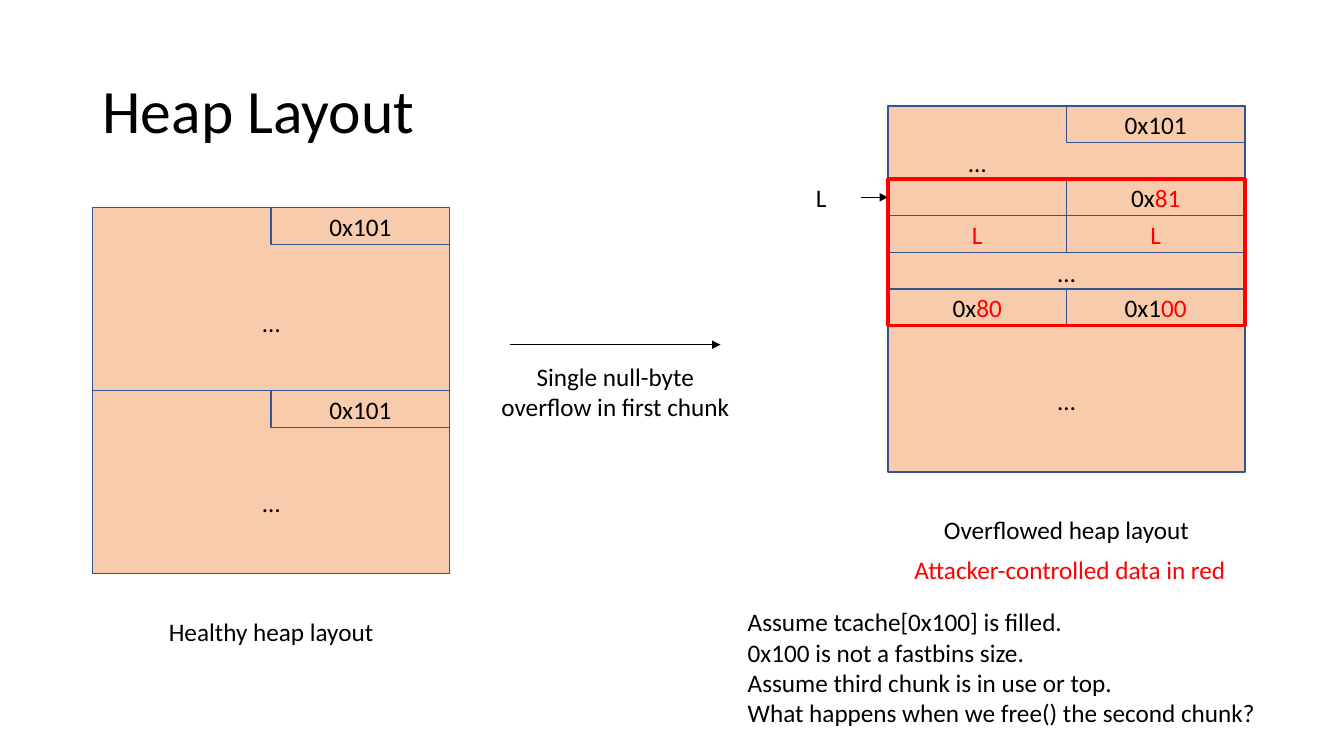
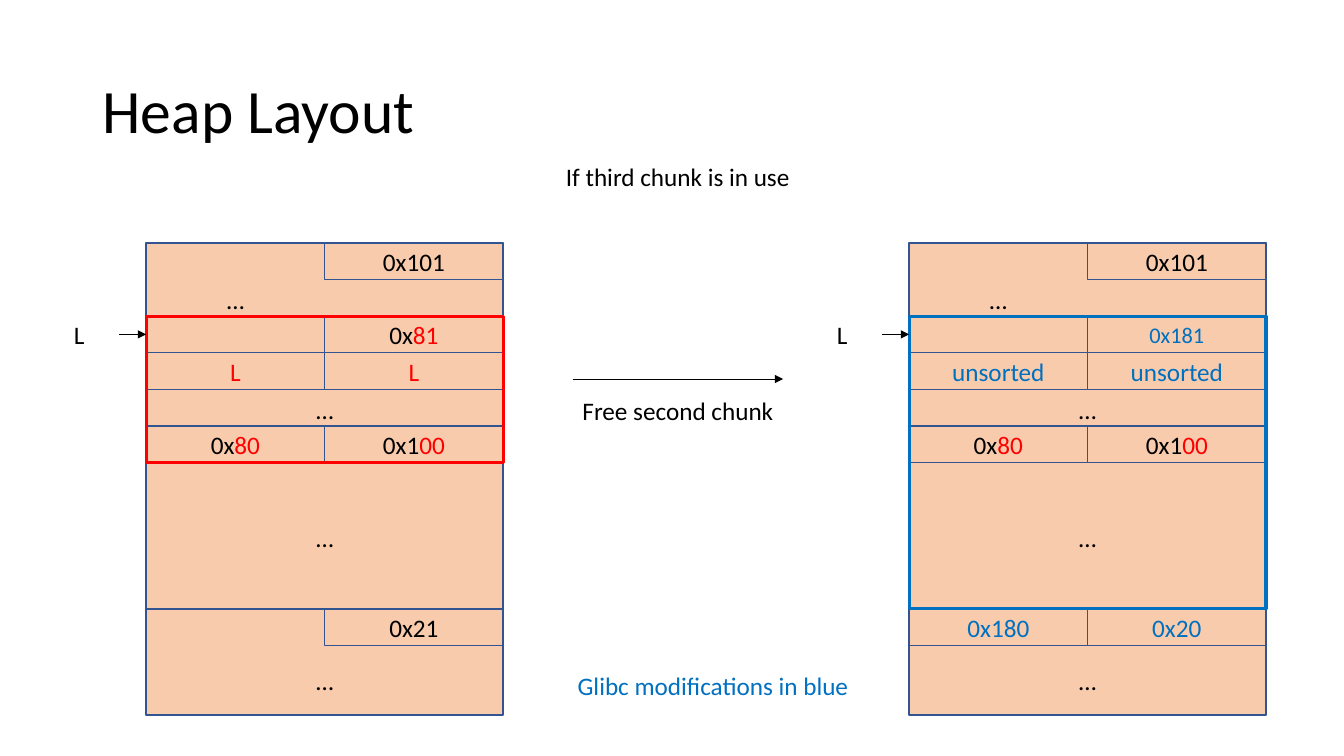
from lxml.etree import SubElement
from pptx import Presentation
from pptx.dml.color import RGBColor
from pptx.enum.shapes import MSO_CONNECTOR as Connector, MSO_SHAPE as Shape
from pptx.enum.text import MSO_ANCHOR as Anchor, PP_ALIGN as Align
from pptx.oxml.ns import qn
from pptx.util import Pt

COLORS = {"black": "000000", "red": "FF0000", "blue": "0070C0",
          "chunk": "F8CBAD", "border": "325491"}
FONT = "Calibri"
TITLE = "Heap Layout"
TITLE_BOX = (66.2, 28.8, 828, 104.4)
BODY_SIZE, TITLE_SIZE = 18, 44
ROW, HALF = 26.15, 127.5
LABEL_WIDTH, LABEL_HEIGHT = 57, 28.8
LEFT, RIGHT, MIDDLE = 0.5, 1.5, 1


def black(text):
    """Return a run of ordinary text."""
    return text, "black"


def red(text):
    """Return a run of attacker-controlled data."""
    return text, "red"


def blue(text, size=BODY_SIZE):
    """Return a run of data changed by the allocator."""
    return text, "blue", size


# A chunk is (rows, cells, dots): a cell is (column, row, runs) and
# dots are (centre in columns, top in rows).
def plain_chunk(dots_row):
    """Return a five-row chunk with an intact size field."""
    return 5, [(1, 0, [black("0x101")])], [(MIDDLE, dots_row)]


def first_chunk(size, link):
    """Return the first chunk, holding a fake chunk in its last rows."""
    cells = [(1, 0, [black("0x101")]), (1, 2, size),
             (1, 3, [link]), (0, 3, [link])]
    return 5, cells, [(MIDDLE, 4), (LEFT, 1)]


FORGED_FIRST = first_chunk([black("0x"), red("81")], red("L"))
FREED_FIRST = first_chunk([blue("0x181", 16)], blue("unsorted"))
FORGED_SECOND = (5, [(1, 0, [black("0x1"), red("00")]),
                     (0, 0, [black("0x"), red("80")])], [(MIDDLE, 2.5)])
THIRD_DOTS = [(MIDDLE, 1.4)]
THIRD_IN_USE = (2.9, [(1, 0, [black("0x21")])], THIRD_DOTS)
THIRD_AFTER_FREE = (2.9, [(1, 0, [blue("0x20")]),
                          (0, 0, [blue("0x180")])], THIRD_DOTS)

# heaps: left, top, chunks, (outline colour, outline rows) or None
# step: left, arrow height, label; notes: box, alignment, paragraphs of runs
SLIDES = [
    {"heaps": [
        (66.2, 148.3, [plain_chunk(2.6), plain_chunk(2.5)], None),
        (634.3, 75.6, [FORGED_FIRST, FORGED_SECOND], ("red", 4))],
     "step": (342.7, 246.2, "Single null-byte overflow in first chunk"),
     "notes": [
        ((48.2, 437, 291, 28.8), Align.CENTER, [[black("Healthy heap layout")]]),
        ((616.3, 363.6, 291, 28.8), Align.CENTER,
         [[black("Overflowed heap layout")]]),
        ((614.2, 392.4, 300, 28.8), Align.CENTER,
         [[red("Attacker-controlled data in red")]]),
        ((527, 429.8, 380.2, 94.3), Align.LEFT,
         [[black("Assume tcache[0x100] is filled.")],
          [black("0x100 is not a fastbins size.")],
          [black("Assume third chunk is in use or top.")],
          [black("What happens when we free() the second chunk?")]])]},
    {"heaps": [
        (104.4, 173.5, [FORGED_FIRST, FORGED_SECOND, THIRD_IN_USE], ("red", 4)),
        (649.4, 173.5, [FREED_FIRST, FORGED_SECOND, THIRD_AFTER_FREE],
         ("blue", 8))],
     "step": (387.4, 270.7, "Free second chunk"),
     "notes": [
        ((179.3, 111.6, 609.8, 28.8), Align.CENTER,
         [[black("If third chunk is in use")]]),
        ((359.3, 475.2, 300, 28.8), Align.CENTER,
         [[blue("Glibc modifications in blue")]])]},
]


def color(name):
    """Look up a named colour."""
    return RGBColor.from_string(COLORS[name])


def add_runs(paragraph, runs):
    """Write (text, colour, optional size) runs into a paragraph."""
    for text, ink, *size in runs:
        run = paragraph.add_run()
        run.text = text
        run.font.name = FONT
        run.font.size = Pt(size[0] if size else BODY_SIZE)
        run.font.color.rgb = color(ink)


def add_text(slide, box, paragraphs, align=Align.CENTER, anchor=Anchor.TOP):
    """Add a wrapping text box and return its frame."""
    frame = slide.shapes.add_textbox(*map(Pt, box)).text_frame
    frame.word_wrap = True
    frame.vertical_anchor = anchor
    for index, runs in enumerate(paragraphs):
        paragraph = frame.add_paragraph() if index else frame.paragraphs[0]
        paragraph.alignment = align
        add_runs(paragraph, runs)
    return frame


def add_title(slide):
    """Add the shared slide title."""
    frame = add_text(slide, TITLE_BOX, [[(TITLE, "black", TITLE_SIZE)]],
                     Align.LEFT, Anchor.MIDDLE)
    frame.paragraphs[0].line_spacing = 0.9


def add_box(slide, box, fill="chunk", line="border", weight=1, runs=()):
    """Add a rectangle, filled unless fill is None, with centred runs."""
    shape = slide.shapes.add_shape(Shape.RECTANGLE, *map(Pt, box))
    shape.shadow.inherit = False
    if fill:
        shape.fill.solid()
        shape.fill.fore_color.rgb = color(fill)
    else:
        shape.fill.background()
    shape.line.color.rgb = color(line)
    shape.line.width = Pt(weight)
    frame = shape.text_frame
    frame.vertical_anchor = Anchor.MIDDLE
    frame.paragraphs[0].alignment = Align.CENTER
    add_runs(frame.paragraphs[0], runs)


def add_arrow(slide, start, end, y):
    """Add a thin horizontal arrow."""
    arrow = slide.shapes.add_connector(Connector.STRAIGHT, Pt(start), Pt(y),
                                       Pt(end), Pt(y))
    arrow.line.color.rgb = color("black")
    arrow.line.width = Pt(0.5)
    SubElement(arrow.line._get_or_add_ln(), qn("a:tailEnd"), type="triangle")
    SubElement(arrow._element.spPr, qn("a:effectLst"))


def add_chunk(slide, left, top, chunk):
    """Draw one chunk with its fields and ellipses; return its bottom."""
    rows, cells, dots = chunk
    add_box(slide, (left, top, 2 * HALF, rows * ROW))
    for column, row, runs in cells:
        add_box(slide, (left + column * HALF, top + row * ROW, HALF, ROW),
                runs=runs)
    for center, row in dots:
        add_text(slide, (left + center * HALF - LABEL_WIDTH / 2,
                         top + row * ROW, LABEL_WIDTH, LABEL_HEIGHT),
                 [[black("…")]])
    return top + rows * ROW


def add_heap(slide, left, top, chunks, outline):
    """Stack chunks and mark the fake chunk with an outline and pointer."""
    bottom = top
    for chunk in chunks:
        bottom = add_chunk(slide, left, bottom, chunk)
    if outline:
        line, rows = outline
        fake_top = top + 2 * ROW
        add_box(slide, (left, fake_top, 2 * HALF, rows * ROW),
                fill=None, line=line, weight=2.25)
        add_text(slide, (left - 76.3, fake_top - 1.5, LABEL_WIDTH, LABEL_HEIGHT),
                 [[black("L")]])
        add_arrow(slide, left - 19.3, left, fake_top + ROW / 2)


def add_step(slide, left, y, label):
    """Add the arrow between two heaps with its label below."""
    add_arrow(slide, left + 21.6, left + 172, y)
    add_text(slide, (left, y + 8, 193.7, LABEL_HEIGHT), [[black(label)]])


presentation = Presentation()
presentation.slide_width, presentation.slide_height = Pt(960), Pt(540)
for content in SLIDES:
    slide = presentation.slides.add_slide(presentation.slide_layouts[6])
    add_title(slide)
    for heap in content["heaps"]:
        add_heap(slide, *heap)
    add_step(slide, *content["step"])
    for box, align, paragraphs in content["notes"]:
        add_text(slide, box, paragraphs, align)
presentation.save("out.pptx")
